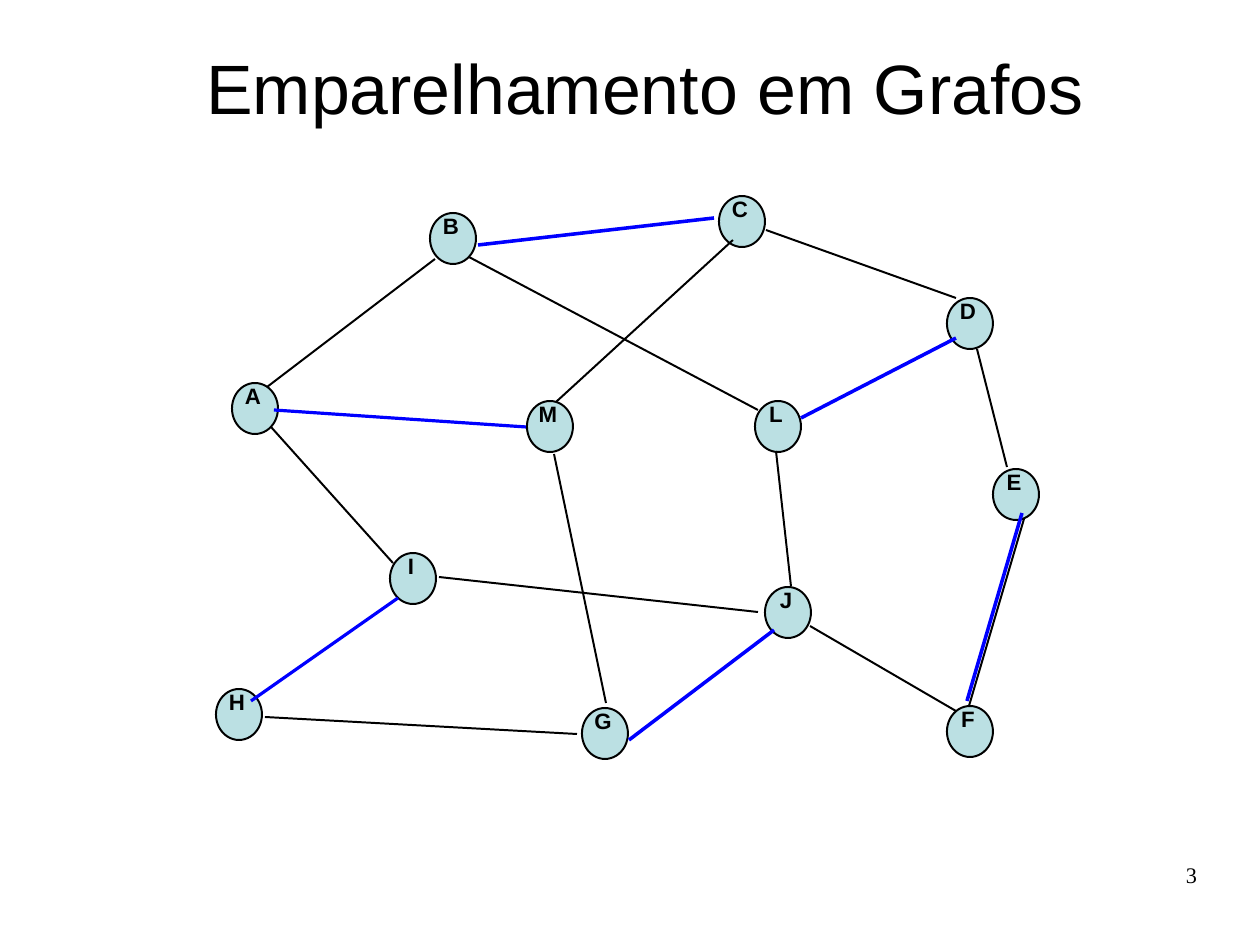
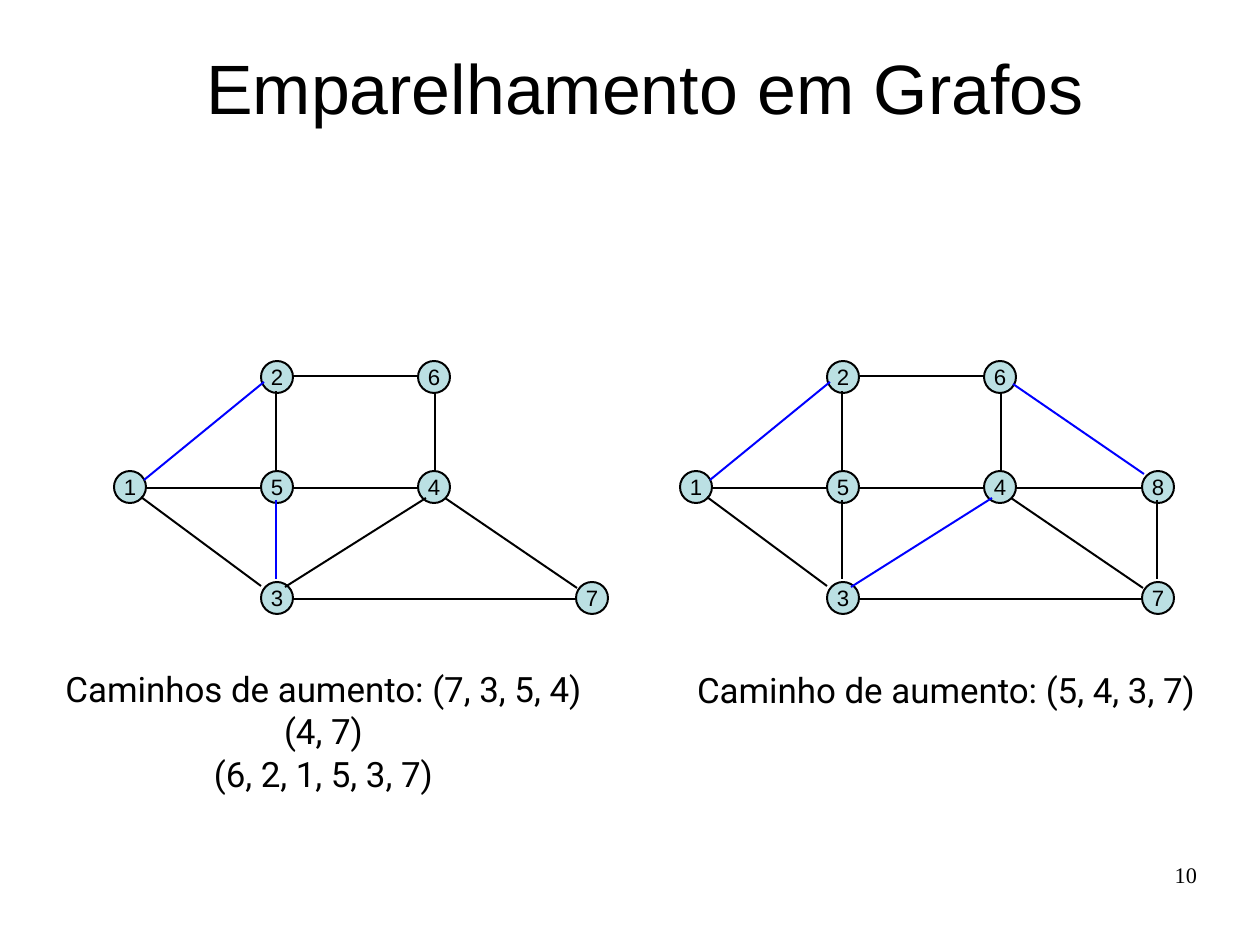
from dataclasses import dataclass

from lxml import etree
from pptx import Presentation
from pptx.dml.color import RGBColor
from pptx.enum.shapes import MSO_CONNECTOR, MSO_SHAPE
from pptx.enum.text import MSO_ANCHOR, MSO_AUTO_SIZE, PP_ALIGN
from pptx.oxml.ns import qn
from pptx.util import Emu, Pt

STRAIGHT = MSO_CONNECTOR.STRAIGHT
ELLIPSE = MSO_SHAPE.OVAL
TOP, MIDDLE = MSO_ANCHOR.TOP, MSO_ANCHOR.MIDDLE
NO_FIT = MSO_AUTO_SIZE.NONE
CENTER, RIGHT = PP_ALIGN.CENTER, PP_ALIGN.RIGHT

PX_EMU = 8000
SLIDE_SIZE = (1260, 945)
BLACK, NODE_FILL, MATCHED = "000000", "BBE0E3", "0000FF"
TITLE = "Emparelhamento em Grafos"
TITLE_BOX = (199, 0, 893, 173)
NUMBER_BOX = (903, 861, 294, 65)
TITLE_ONLY = 5
LINE_WIDTH = 1.25
LABEL_SIZE = (38, 37)


@dataclass
class NodeStyle:
    """Look of the nodes of a graph."""
    size: tuple
    label_shift: tuple
    bold: bool


LARGE = NodeStyle((46, 51), (-2, -7), True)
SMALL = NodeStyle((32, 32), (0, -4), False)

LETTER_NODES = {
    "H": (216, 689), "A": (232, 383), "B": (430, 213), "J": (765, 587),
    "C": (719, 196), "E": (993, 469), "M": (527, 401), "L": (755, 401),
    "G": (582, 708), "D": (947, 298), "I": (390, 553), "F": (947, 706),
}
LETTER_EDGES = {
    "HG": (265, 717, 577, 734), "MG": (554, 454, 606, 703),
    "AI": (271, 427, 393, 563), "AB": (267, 387, 435, 259),
    "BL": (469, 257, 758, 410), "LJ": (776, 451, 791, 586),
    "CD": (766, 230, 956, 298), "JF": (810, 626, 956, 711),
    "EF": (1024, 519, 969, 706), "DE": (977, 349, 1007, 467),
    "IJ": (439, 577, 758, 612), "CM": (733, 240, 556, 402),
    "LD": (801, 418, 956, 338), "GJ": (629, 740, 774, 630),
    "IH": (398, 598, 251, 701), "FE": (1022, 513, 967, 701),
    "BC": (478, 245, 714, 218), "AM": (274, 410, 526, 427),
}
LETTER_MATCHING = {"LD": 2.25, "GJ": 2.25, "IH": 2, "FE": 2.25,
                   "BC": 2.25, "AM": 2}

COLUMNS = (0, 147, 304, 462)
ROWS = (0, 110, 221)
NUMBER_CELLS = {
    "1": (0, 1), "2": (1, 0), "5": (1, 1), "3": (1, 2),
    "6": (2, 0), "4": (2, 1), "8": (3, 1), "7": (3, 2),
}
NUMBER_EDGES = {
    "12": (30, 119, 150, 21), "15": (32, 127, 147, 127),
    "54": (178, 127, 305, 127), "48": (336, 127, 463, 127),
    "26": (178, 15, 305, 15), "37": (178, 238, 462, 238),
    "25": (162, 30, 162, 109), "53": (162, 139, 162, 218),
    "64": (321, 32, 321, 110), "87": (477, 139, 477, 218),
    "68": (333, 23, 464, 113), "47": (331, 137, 463, 227),
    "43": (312, 137, 171, 226), "13": (27, 136, 147, 225),
}


def px(*lengths):
    """Turn pixel lengths into EMU."""
    return [Emu(length * PX_EMU) for length in lengths]


def color(hex_code):
    """Turn a hex string into a colour."""
    return RGBColor.from_string(hex_code)


def write(frame, lines, font, size, align, anchor=TOP, bold=False,
          wrap=True, insets=(0, 0), spacing=None):
    """Fill a text frame with one paragraph of the given lines."""
    frame.word_wrap = wrap
    frame.auto_size = NO_FIT
    frame.vertical_anchor = anchor
    frame.margin_left, frame.margin_top = px(*insets)
    frame.margin_right, frame.margin_bottom = px(*insets)
    paragraph = frame.paragraphs[0]
    paragraph.alignment = align
    if spacing:
        paragraph.line_spacing = spacing
    for index, line in enumerate(lines):
        if index:
            paragraph.add_line_break()
        run = paragraph.add_run()
        run.text = line
        run.font.name = font
        run.font.size = Pt(size)
        run.font.bold = bold
        run.font.color.rgb = color(BLACK)


def add_titled_slide(deck, number):
    """Add a slide with the shared title and its page number."""
    slide = deck.slides.add_slide(deck.slide_layouts[TITLE_ONLY])
    title = slide.shapes.title
    title.left, title.top, title.width, title.height = px(*TITLE_BOX)
    write(title.text_frame, [TITLE], "Arial", 44, CENTER, MIDDLE, spacing=1.01)
    page = slide.shapes.add_textbox(*px(*NUMBER_BOX))
    write(page.text_frame, [number], "Times New Roman", 14, RIGHT)
    return slide


def add_node(slide, name, left, top, style):
    """Add a labelled graph node as one group."""
    group = slide.shapes.add_group_shape()
    width, height = style.size
    circle = group.shapes.add_shape(ELLIPSE, *px(left, top, width, height))
    circle.shadow.inherit = False
    circle.fill.solid()
    circle.fill.fore_color.rgb = color(NODE_FILL)
    circle.line.color.rgb = color(BLACK)
    circle.line.width = Pt(LINE_WIDTH)
    shift_x, shift_y = style.label_shift
    label_left = left + (width - LABEL_SIZE[0]) // 2 + shift_x
    label = group.shapes.add_textbox(*px(label_left, top + shift_y, *LABEL_SIZE))
    write(label.text_frame, [name], "Arial", 14, CENTER,
          bold=style.bold, wrap=False, insets=(11, 6))


def add_edge(slide, ends, line_color, width):
    """Add a straight edge without shadow."""
    edge = slide.shapes.add_connector(STRAIGHT, *px(*ends))
    edge.line.color.rgb = color(line_color)
    edge.line.width = Pt(width)
    etree.SubElement(edge._element.spPr, qn("a:effectLst"))


def add_graph(slide, left, top, nodes, edges, matching, style):
    """Draw nodes and edges from an origin, with matched edges on top."""
    for name, (x, y) in nodes.items():
        add_node(slide, name, left + x, top + y, style)
    for pair in sorted(edges, key=lambda name: name in matching):
        x1, y1, x2, y2 = edges[pair]
        add_edge(slide, (left + x1, top + y1, left + x2, top + y2),
                 MATCHED if pair in matching else BLACK,
                 matching.get(pair, LINE_WIDTH))


def add_path_panel(slide, left, top, names, matched, caption_box, caption):
    """Draw a numbered graph on its grid, with the caption below it."""
    nodes = {name: (COLUMNS[column], ROWS[row])
             for name, (column, row) in NUMBER_CELLS.items() if name in names}
    edges = {pair: ends for pair, ends in NUMBER_EDGES.items()
             if set(pair) <= set(names)}
    matching = dict.fromkeys(matched, LINE_WIDTH)
    add_graph(slide, left, top, nodes, edges, matching, SMALL)
    x, y, width, height = caption_box
    text = slide.shapes.add_textbox(*px(left + x, top + y, width, height))
    write(text.text_frame, caption, "Roboto", 22, CENTER, MIDDLE,
          wrap=False, spacing=1.01)


def main():
    """Build and save the deck."""
    deck = Presentation()
    deck.slide_width, deck.slide_height = px(*SLIDE_SIZE)
    matching_slide = add_titled_slide(deck, "3")
    add_graph(matching_slide, 0, 0, LETTER_NODES, LETTER_EDGES,
              LETTER_MATCHING, LARGE)
    paths_slide = add_titled_slide(deck, "10")
    add_path_panel(paths_slide, 114, 361, "1253647", ("12", "53"),
                   (12, 277, 395, 185),
                   ["Caminhos de aumento: (7, 3, 5, 4)", "(4, 7)",
                    "(6, 2, 1, 5, 3, 7)"])
    add_path_panel(paths_slide, 680, 361, "12536487", ("12", "68", "43"),
                   (61, 282, 410, 93),
                   ["Caminho de aumento: (5, 4, 3, 7)"])
    deck.save("out.pptx")


if __name__ == "__main__":
    main()
